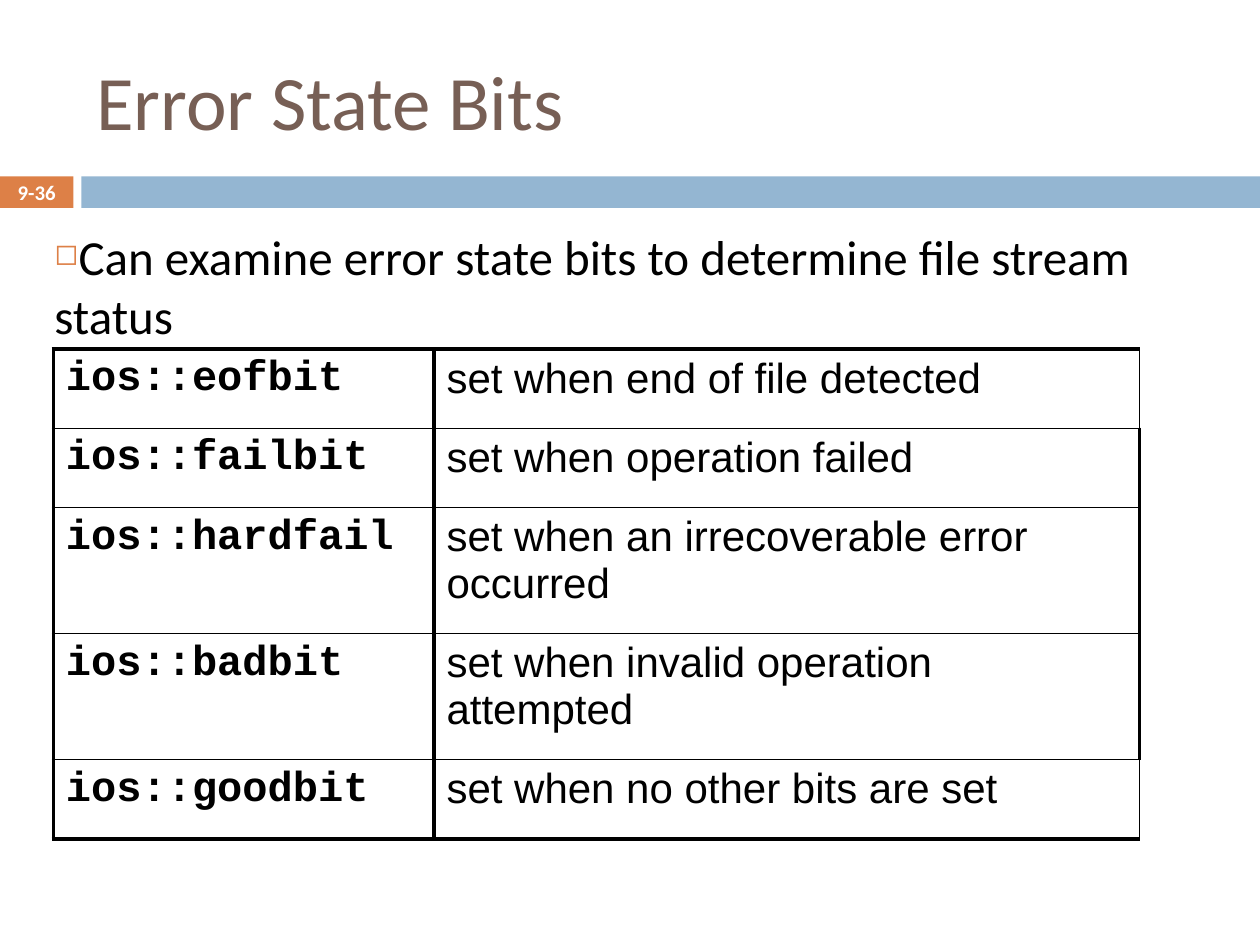
from dataclasses import dataclass

from pptx import Presentation
from pptx.dml.color import RGBColor as RGB
from pptx.enum.shapes import MSO_SHAPE as Shape
from pptx.enum.text import MSO_ANCHOR as Anchor, PP_ALIGN as Align
from pptx.oxml.ns import qn
from pptx.util import Pt
from lxml.etree import SubElement


@dataclass(frozen=True)
class Theme:
    title_color: RGB = RGB(0x77, 0x5F, 0x55)
    accent: RGB = RGB(0xDD, 0x80, 0x47)
    band: RGB = RGB(0x94, 0xB6, 0xD2)
    ink: RGB = RGB(0, 0, 0)
    light: RGB = RGB(0xFF, 0xFF, 0xFF)
    body_font: str = "Calibri"
    code_font: str = "Courier New"
    table_font: str = "Arial"
    title_size: float = 44
    body_size: float = 28
    table_size: float = 24
    number_size: float = 11.9
    thick: float = 2.25
    thin: float = 1


def apply(target, values):
    for name, value in values.items():
        setattr(target, name, value)


class SlideBuilder:
    def __init__(self, slide, theme):
        self.slide = slide
        self.theme = theme

    def bar(self, left, top, width, height, color):
        bar = self.slide.shapes.add_shape(
            Shape.RECTANGLE, Pt(left), Pt(top), Pt(width), Pt(height))
        bar.shadow.inherit = False
        bar.fill.solid()
        bar.fill.fore_color.rgb = color
        bar.line.fill.background()

    def fill_text(self, frame, text, size, color, font=None, bold=False,
                  **paragraph_format):
        paragraph = frame.paragraphs[0]
        apply(paragraph, paragraph_format)
        run = paragraph.add_run()
        run.text = text
        apply(run.font, {"name": font or self.theme.body_font,
                         "size": Pt(size), "bold": bold})
        run.font.color.rgb = color
        return paragraph

    def text(self, box, text, size, color, frame_format=None, **style):
        frame = self.slide.shapes.add_textbox(*map(Pt, box)).text_frame
        apply(frame, {"word_wrap": True, **(frame_format or {})})
        return self.fill_text(frame, text, size, color, **style)

    def bullet(self, paragraph, char, color, percent):
        props = paragraph._p.get_or_add_pPr()
        props.set("marL", "0")
        props.set("indent", "0")
        bullet_color = SubElement(props, qn("a:buClr"))
        SubElement(bullet_color, qn("a:srgbClr"), val=str(color))
        SubElement(props, qn("a:buSzPct"), val=str(percent * 1000))
        SubElement(props, qn("a:buChar"), char=char)

    def borders(self, cell, widths):
        props = cell._tc.get_or_add_tcPr()
        for index, (side, width) in enumerate(widths.items()):
            line = SubElement(props, qn(f"a:ln{side}"), w=str(Pt(width)))
            fill = SubElement(line, qn("a:solidFill"))
            SubElement(fill, qn("a:srgbClr"), val=str(self.theme.ink))
            props.insert(index, line)  # borders come before the cell fill

    def table(self, left, top, columns, heights, rows):
        theme = self.theme
        table = self.slide.shapes.add_table(
            len(rows), len(columns), Pt(left), Pt(top),
            Pt(sum(columns)), Pt(sum(heights))).table
        apply(table, {"first_row": False, "horz_banding": False})
        for column, width in zip(table.columns, columns):
            column.width = Pt(width)
        last = len(rows) - 1
        for r, (row, height) in enumerate(zip(rows, heights)):
            table.rows[r].height = Pt(height)
            for c, text in enumerate(row):
                cell = table.cell(r, c)
                is_code = c == 0
                cell.fill.background()
                self.fill_text(cell.text_frame, text, theme.table_size, theme.ink,
                               font=theme.code_font if is_code else theme.table_font,
                               bold=is_code, space_before=Pt(4.8))
                thin_right = not is_code and r in (0, last)
                self.borders(cell, {
                    "L": theme.thick,
                    "R": theme.thin if thin_right else theme.thick,
                    "T": theme.thick if r == 0 else theme.thin,
                    "B": theme.thick if r == last else theme.thin,
                })


def main():
    theme = Theme()
    deck = Presentation()
    apply(deck, {"slide_width": Pt(720), "slide_height": Pt(540)})
    page = SlideBuilder(deck.slides.add_slide(deck.slide_layouts[6]), theme)

    # Header band
    page.bar(0, 100.8, 42, 18, theme.accent)
    page.bar(46.5, 100.8, 673.5, 18, theme.band)

    # Title
    page.text((48, 12, 612, 90), "Error State Bits", theme.title_size,
              theme.title_color, {"vertical_anchor": Anchor.MIDDLE})

    # Introduction
    intro = page.text((24, 126, 648, 96),
                      "Can examine error state bits to determine file stream status",
                      theme.body_size, theme.ink, space_before=Pt(7))
    page.bullet(intro, "◻", theme.accent, 60)

    # State bits and their meaning
    single, double = 45.3, 72
    page.table(30.5, 199.5, (217.5, 403.2),
               (single, single, double, double, single), (
        ("ios::eofbit", "set when end of file detected"),
        ("ios::failbit", "set when operation failed"),
        ("ios::hardfail", "set when an irrecoverable error occurred"),
        ("ios::badbit", "set when invalid operation attempted"),
        ("ios::goodbit", "set when no other bits are set"),
    ))

    # Slide number
    no_margins = dict.fromkeys(
        ("margin_left", "margin_right", "margin_top", "margin_bottom"), 0)
    page.text((0, 100.2, 42, 19.2), "9-36", theme.number_size, theme.light,
              {"vertical_anchor": Anchor.MIDDLE, **no_margins},
              bold=True, alignment=Align.CENTER)

    deck.save("out.pptx")


if __name__ == "__main__":
    main()
